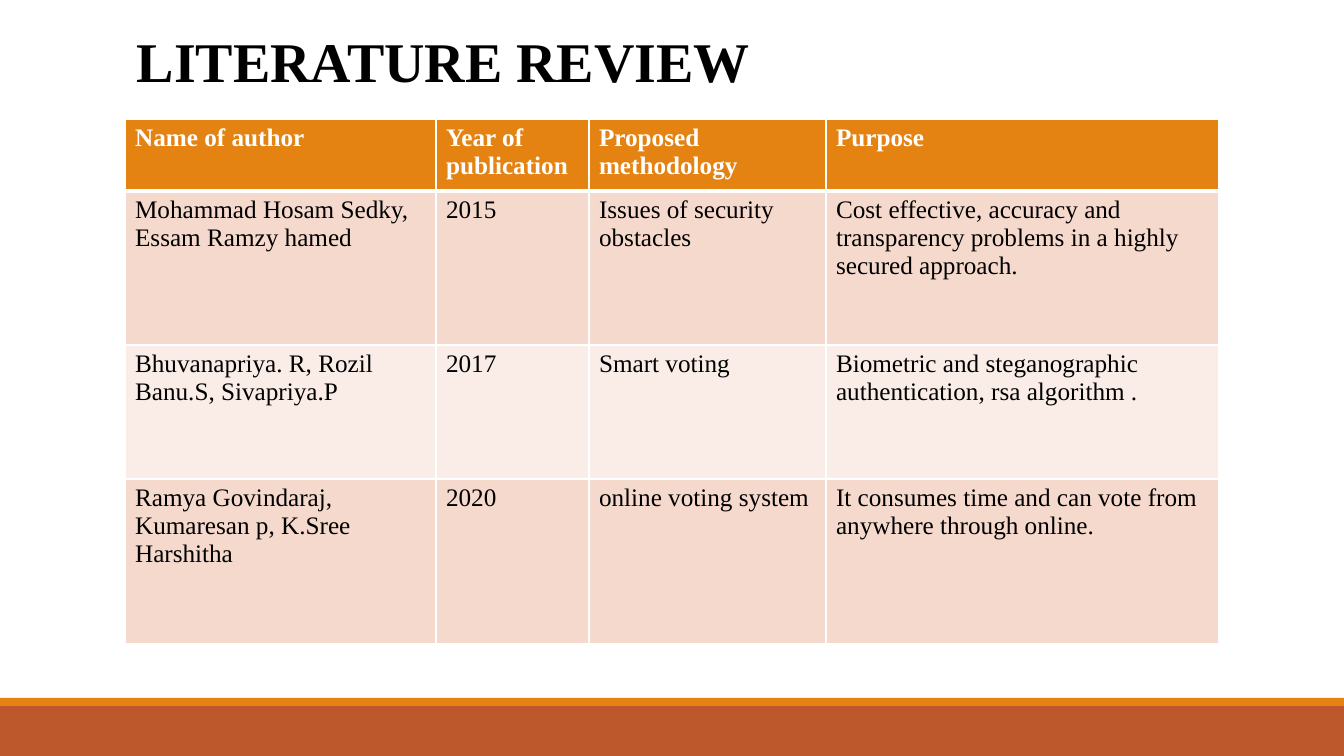
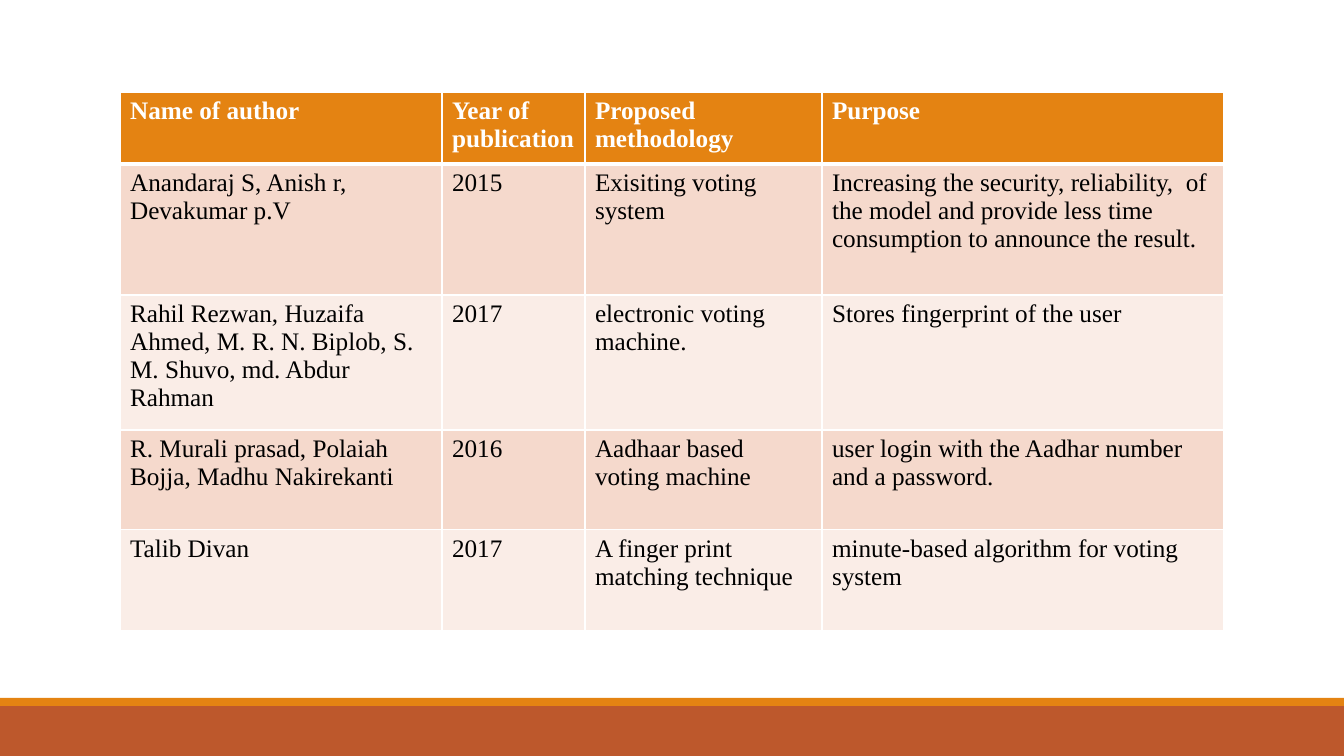
from dataclasses import dataclass

from lxml.etree import SubElement
from pptx import Presentation
from pptx.dml.color import RGBColor
from pptx.enum.shapes import MSO_SHAPE as Preset
from pptx.oxml.ns import qn
from pptx.util import Emu, Pt


@dataclass(frozen=True)
class Theme:
    font: str = "Times New Roman"
    title_size: int = 40
    table_size: int = 18
    text: str = "000000"
    white: str = "FFFFFF"
    accent: str = "E48312"
    footer: str = "BD582C"
    row_bands: tuple = ("F5D9CC", "FAEDE7")
    border: int = 1
    header_border: int = 3


theme = Theme()
SLIDE_WIDTH, SLIDE_HEIGHT = 1344, 756
FOOTER_BANDS = [(706, 50, theme.footer), (698, 8, theme.accent)]
HEADER = ("Name of author", "Year of publication", "Proposed methodology", "Purpose")


def px(length):
    return Emu(round(length * 914400 / 100.8))


def style_text(paragraph, size, color, bold):
    font = paragraph.font
    font.name, font.size, font.bold = theme.font, Pt(size), bold
    font.color.rgb = RGBColor.from_string(color)


# Slide content
slides = [
    {
        "title": "LITERATURE REVIEW",
        "left": 125, "top": 119,
        "columns": (311, 153, 237, 393),
        "heights": (72, 154, 134, 165),
        "rows": [
            ("Mohammad Hosam Sedky, Essam Ramzy hamed", "2015",
             "Issues of security obstacles",
             "Cost effective, accuracy and transparency problems in a highly secured approach."),
            ("Bhuvanapriya. R, Rozil Banu.S, Sivapriya.P", "2017",
             "Smart voting",
             "Biometric and steganographic authentication, rsa algorithm ."),
            ("Ramya Govindaraj, Kumaresan p, K.Sree Harshitha", "2020",
             "online voting system",
             "It consumes time and can vote from anywhere through online."),
        ],
    },
    {
        "title": None,
        "left": 120, "top": 92,
        "columns": (322, 143, 237, 402),
        "heights": (72, 131, 135, 100, 101),
        "rows": [
            ("Anandaraj S, Anish r, Devakumar p.V", "2015",
             "Exisiting voting system",
             "Increasing the security, reliability,  of the model and provide less time "
             "consumption to announce the result."),
            ("Rahil Rezwan, Huzaifa Ahmed, M. R. N. Biplob, S. M. Shuvo, md. Abdur Rahman",
             "2017", "electronic voting machine.", "Stores fingerprint of the user"),
            ("R. Murali prasad, Polaiah Bojja, Madhu Nakirekanti", "2016",
             "Aadhaar based voting machine",
             "user login with the Aadhar number and a password."),
            ("Talib Divan", "2017", "A finger print matching technique",
             "minute-based algorithm for voting system"),
        ],
    },
]

presentation = Presentation()
presentation.slide_width, presentation.slide_height = px(SLIDE_WIDTH), px(SLIDE_HEIGHT)

for content in slides:
    slide = presentation.slides.add_slide(presentation.slide_layouts[6])

    # Footer bands
    for top, height, color in FOOTER_BANDS:
        band = slide.shapes.add_shape(Preset.RECTANGLE, 0, px(top), px(SLIDE_WIDTH), px(height))
        band.shadow.inherit = False
        band.fill.solid()
        band.fill.fore_color.rgb = RGBColor.from_string(color)
        band.line.fill.background()

    # Table grid
    columns, heights = content["columns"], content["heights"]
    table = slide.shapes.add_table(
        len(heights), len(columns), px(content["left"]), px(content["top"]),
        px(sum(columns)), px(sum(heights))).table
    table.horz_banding = False
    for column, width in zip(table.columns, columns):
        column.width = px(width)
    for row, height in zip(table.rows, heights):
        row.height = px(height)

    # Table cells
    for row_index, texts in enumerate([HEADER, *content["rows"]]):
        is_header = row_index == 0
        fill = theme.accent if is_header else theme.row_bands[(row_index - 1) % 2]
        for column_index, text in enumerate(texts):
            cell = table.cell(row_index, column_index)
            cell.text = text
            style_text(cell.text_frame.paragraphs[0], theme.table_size,
                       theme.white if is_header else theme.text, is_header)

            # Borders come before the fill in the cell properties
            properties = cell._tc.get_or_add_tcPr()
            for side in ("L", "R", "T", "B"):
                under_header = (side, row_index) in (("B", 0), ("T", 1))
                weight = theme.header_border if under_header else theme.border
                line = SubElement(properties, qn(f"a:ln{side}"), w=str(Pt(weight)))
                line_fill = SubElement(line, qn("a:solidFill"))
                SubElement(line_fill, qn("a:srgbClr"), val=theme.white)
            cell.fill.solid()
            cell.fill.fore_color.rgb = RGBColor.from_string(fill)

    # Title
    if content["title"]:
        title = slide.shapes.add_textbox(px(127), px(22), px(727), px(78))
        title.text_frame.word_wrap = True
        title.text_frame.text = content["title"]
        style_text(title.text_frame.paragraphs[0], theme.title_size, theme.text, True)

presentation.save("out.pptx")
